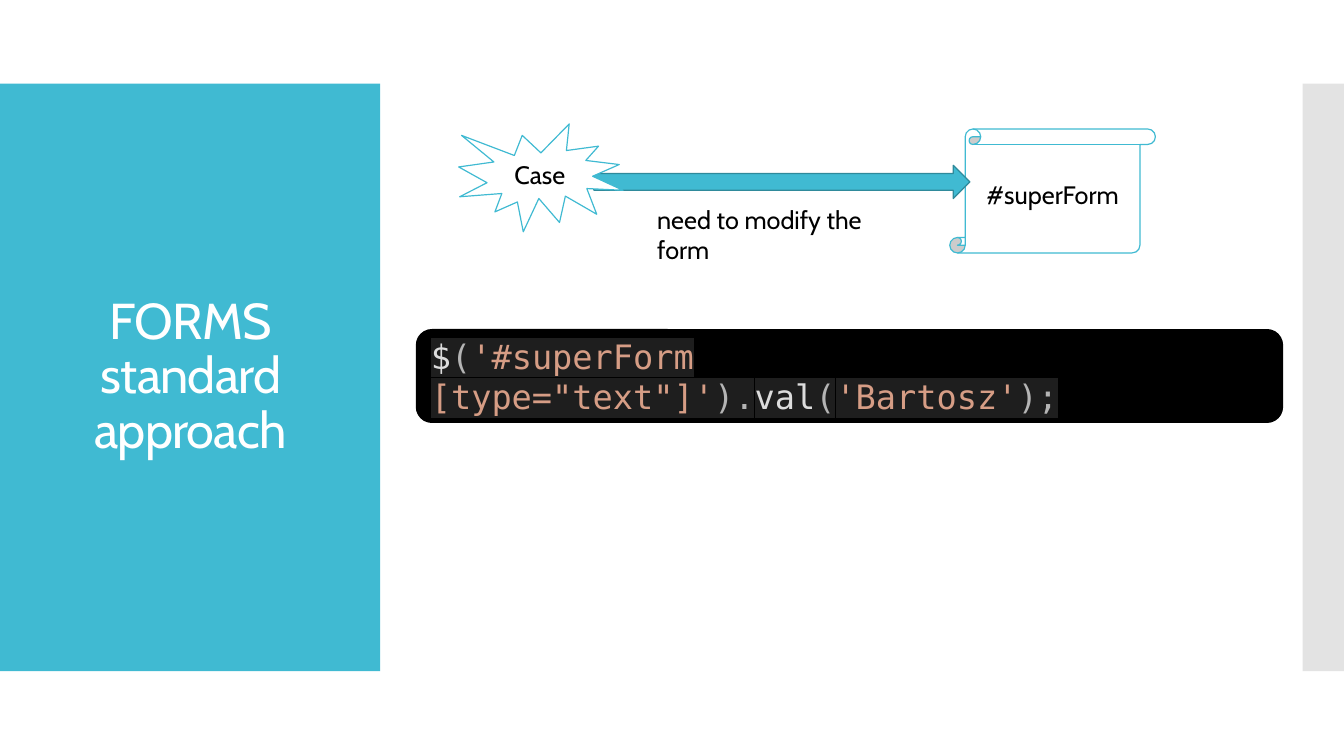
from lxml import etree
from pptx import Presentation
from pptx.dml.color import RGBColor
from pptx.enum.shapes import MSO_SHAPE
from pptx.enum.text import MSO_ANCHOR, PP_ALIGN
from pptx.oxml.ns import qn
from pptx.util import Pt

RECTANGLE = MSO_SHAPE.RECTANGLE
ROUNDED = MSO_SHAPE.ROUNDED_RECTANGLE
SCROLL = MSO_SHAPE.VERTICAL_SCROLL
ARROW = MSO_SHAPE.RIGHT_ARROW
BURST = MSO_SHAPE.EXPLOSION1
MIDDLE = MSO_ANCHOR.MIDDLE
LEFT, CENTER = PP_ALIGN.LEFT, PP_ALIGN.CENTER

PX = 9144
TEXT_FONT = "Cabin"
CODE_FONT = "DejaVu Sans Mono"
COLORS = {
    "white": "FFFFFF",
    "black": "000000",
    "teal": "40BAD2",
    "dark teal": "2F8A9B",
    "gray": "C8C8C8",
    "highlight": "1E1E1E",
    "name": "DCDCDC",
    "mark": "B4B4B4",
    "string": "D69D85",
}


def add_box(kind, bounds, fill, line=None):
    box = page.shapes.add_shape(kind, *[n * PX for n in bounds])
    box.shadow.inherit = False
    box.fill.solid()
    box.fill.fore_color.rgb = RGBColor.from_string(COLORS[fill])
    if line:
        box.line.color.rgb = RGBColor.from_string(COLORS[line])
        box.line.width = Pt(0.85)
    else:
        box.line.fill.background()
    return box


def write(box, text, size, color, align, anchor=MIDDLE):
    frame = box.text_frame
    frame.word_wrap = True
    frame.vertical_anchor = anchor
    para = frame.paragraphs[0]
    para.text = text
    para.alignment = align
    para.font.name = TEXT_FONT
    para.font.size = Pt(size)
    para.font.color.rgb = RGBColor.from_string(COLORS[color])
    return para


deck = Presentation()
deck.slide_width = 1333 * PX
deck.slide_height = 750 * PX
page = deck.slides.add_slide(deck.slide_layouts[6])

add_box(RECTANGLE, (0, 83, 377, 583), "teal")
side_bar = add_box(RECTANGLE, (1292, 83, 41, 583), "gray")
side_color = side_bar.fill._xPr.find(qn("a:solidFill"))[0]
etree.SubElement(side_color, qn("a:alpha")).set("val", "50000")

title = page.shapes.add_textbox(28 * PX, 123 * PX, 322 * PX, 503 * PX)
title_para = write(title, "FORMS\vstandard approach", 36, "white", CENTER)
title_para.line_spacing = 0.9
for span in title_para.runs:
    span._r.get_or_add_rPr().set("spc", "-60")

form = add_box(SCROLL, (942, 128, 204, 123), "white", "teal")
write(form, "#superForm", 18, "black", CENTER)

code = add_box(ROUNDED, (413, 327, 859, 92), "black", "black")
code.text_frame.word_wrap = True
code.text_frame.vertical_anchor = MIDDLE
code_para = code.text_frame.paragraphs[0]
code_para.alignment = LEFT
code_para.font.name = CODE_FONT
code_para.font.size = Pt(24)
for text, color in [
    ("$", "name"),
    ("(", "mark"),
    ("'#superForm [type=\"text\"]'", "string"),
    (").", "mark"),
    ("val", "name"),
    ("(", "mark"),
    ("'Bartosz'", "string"),
    (");", "mark"),
]:
    span = code_para.add_run()
    span.text = text
    span.font.color.rgb = RGBColor.from_string(COLORS[color])
    highlight = etree.SubElement(span._r.get_or_add_rPr(), qn("a:highlight"))
    etree.SubElement(highlight, qn("a:srgbClr")).set("val", COLORS["highlight"])

add_box(ARROW, (589, 164, 373, 33), "teal", "dark teal")

case = add_box(BURST, (455, 123, 163, 107), "white", "teal")
write(case, "Case", 18, "black", CENTER)

need = page.shapes.add_textbox(642 * PX, 198 * PX, 274 * PX, 40 * PX)
write(need, "need to modify the form", 18, "black", LEFT, MSO_ANCHOR.TOP)

deck.save("out.pptx")
